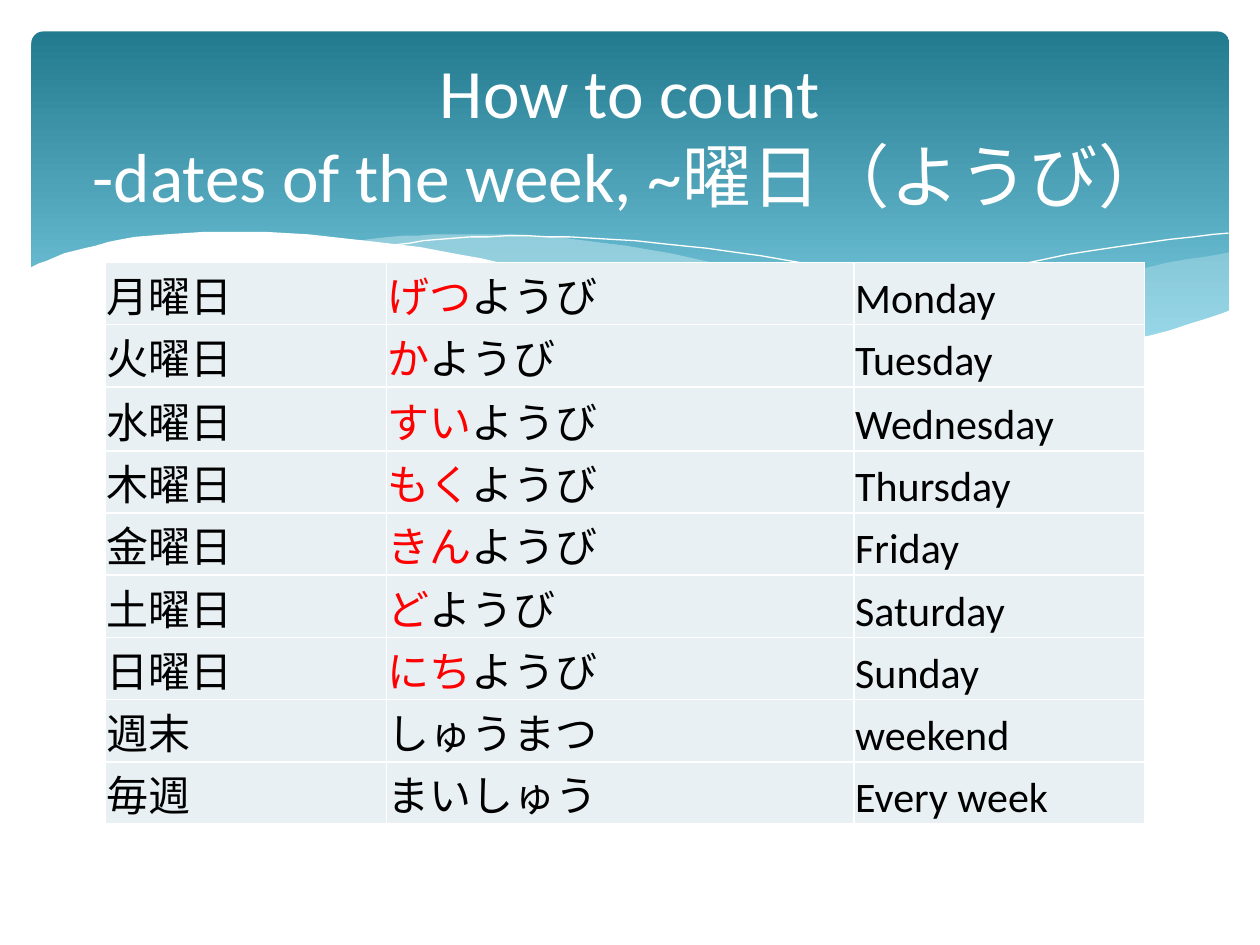
from lxml import etree
from pptx import Presentation, util as u
from pptx.dml.color import RGBColor
from pptx.enum import shapes, text
from pptx.oxml.ns import qn

Pt = u.Pt
THEME = {
    "font": "Calibri", "title_size": Pt(39.6), "cell_size": Pt(24),
    "white": RGBColor.from_string("FFFFFF"), "black": RGBColor.from_string("000000"),
    "red": RGBColor.from_string("FF0000"), "cell": RGBColor.from_string("E8F0F4"),
    "banner_top": RGBColor.from_string("227A8F"),
    "banner_bottom": RGBColor.from_string("7ACBE0"),
    "mist": RGBColor.from_string("DEF5FA"),
}
WAVE_UNIT = Pt(0.72)  # wave knots are in hundredths of an inch


def style_font(font, size, color):
    for key, value in {"name": THEME["font"], "size": THEME[size]}.items():
        setattr(font, key, value)
    font.color.rgb = THEME[color]


def smooth(knots, steps=6):
    """Return points on a Catmull-Rom curve through the knots."""
    padded = [knots[0], *knots, knots[-1]]
    points = [knots[0]]
    for span in zip(padded, padded[1:], padded[2:], padded[3:]):
        for step in range(1, steps + 1):
            t = step / steps
            points.append(tuple(
                b + t * (c - a) / 2 + t**2 * (2*a - 5*b + 4*c - d) / 2
                + t**3 * (3*b - a - 3*c + d) / 2
                for a, b, c, d in zip(*span)))
    return points


prs = Presentation()
prs.slide_width, prs.slide_height = Pt(720), Pt(540)
slide = prs.slides.add_slide(prs.slide_layouts[5])

# Banner
banner = slide.shapes.add_shape(
    shapes.MSO_SHAPE.ROUNDED_RECTANGLE, Pt(18), Pt(18), Pt(684.5), Pt(194.5))
banner.adjustments[0] = 0.034
banner.shadow.inherit = False
banner.line.fill.background()
banner.fill.gradient()
banner.fill.gradient_angle = 270
for stop, (position, name) in zip(banner.fill.gradient_stops,
                                  [(0, "banner_top"), (0.9, "banner_bottom")]):
    stop.position = position
    stop.color.rgb = THEME[name]

# Waves: fill colour (None for a thin line), opacity in percent, edges
waves = [
    ("mist", 29, [
        [(976, 200), (891, 216), (779, 242), (661, 265)],
        [(661, 265), (757, 276), (835, 277), (905, 269), (976, 247)]]),
    ("mist", 40, [
        [(893, 273), (775, 254), (629, 222), (514, 198), (420, 187), (344, 186),
         (286, 191)],
        [(286, 191), (404, 211), (566, 248), (695, 270), (807, 278), (893, 273)]]),
    (None, 100, [
        [(309, 195), (374, 188), (469, 189), (582, 200), (727, 226), (907, 272)]]),
    (None, 100, [[(613, 257), (748, 223), (866, 199), (975, 185)]]),
    ("white", 100, [
        [(977, 246), (899, 269), (809, 277), (688, 268), (555, 245), (418, 213),
         (316, 194), (211, 184), (119, 187), (59, 199), (23, 213)],
        [(23, 329), (977, 329)]]),
]
for fill_name, opacity, edges in waves:
    points = [point for edge in edges for point in smooth(edge)]
    builder = slide.shapes.build_freeform(*points[0], scale=WAVE_UNIT)
    builder.add_line_segments(points[1:], close=fill_name is not None)
    wave = builder.convert_to_shape()
    wave.shadow.inherit = False
    if fill_name is None:
        wave.fill.background()
        wave.line.color.rgb = THEME["white"]
        wave.line.width = Pt(0)
        continue
    wave.line.fill.background()
    wave.fill.solid()
    wave.fill.fore_color.rgb = THEME[fill_name]
    if opacity < 100:
        rgb = wave.element.spPr.find(qn("a:solidFill")).find(qn("a:srgbClr"))
        etree.SubElement(rgb, qn("a:alpha"), val=str(opacity * 1000))

# Days: kanji, reading that differs, rest of the reading, English
days = [
    ("月曜日", "げつ", "ようび", "Monday"),
    ("火曜日", "か", "ようび", "Tuesday"),
    ("水曜日", "すい", "ようび", "Wednesday"),
    ("木曜日", "もく", "ようび", "Thursday"),
    ("金曜日", "きん", "ようび", "Friday"),
    ("土曜日", "ど", "ようび", "Saturday"),
    ("日曜日", "にち", "ようび", "Sunday"),
    ("週末", "", "しゅうまつ", "weekend"),
    ("毎週", "", "まいしゅう", "Every week"),
]
cell_format = {
    "vertical_anchor": text.MSO_ANCHOR.BOTTOM, "margin_left": Pt(0.72),
    "margin_right": Pt(0.72), "margin_top": Pt(0.72), "margin_bottom": Pt(0),
}
calendar = slide.shapes.add_table(
    len(days), 3, Pt(60), Pt(150), Pt(594), Pt(299)).table
calendar.first_row = calendar.horz_banding = False
for column, width in zip(calendar.columns, (161, 267, 166)):
    column.width = Pt(width)
for row in calendar.rows:
    row.height = Pt(33.2)
calendar.rows[2].height = Pt(36.5)

for row, (kanji, stem, ending, english) in zip(calendar.rows, days):
    contents = ([(kanji, "black")], [(stem, "red"), (ending, "black")],
                [(english, "black")])
    for cell, pieces in zip(row.cells, contents):
        for key, value in cell_format.items():
            setattr(cell, key, value)
        for side in ("lnL", "lnR", "lnT", "lnB"):
            border = etree.SubElement(cell._tc.tcPr, qn(f"a:{side}"), w=str(Pt(1)))
            paint = etree.SubElement(border, qn("a:solidFill"))
            etree.SubElement(paint, qn("a:srgbClr"), val=str(THEME["white"]))
        cell.fill.solid()
        cell.fill.fore_color.rgb = THEME["cell"]
        for words, name in pieces:
            if words:
                run = cell.text_frame.paragraphs[0].add_run()
                run.text = words
                style_font(run.font, "cell_size", name)

# Title, brought in front of the banner
title = slide.shapes.title
slide.shapes.element.append(title.element)
for key, value in {"left": Pt(36), "top": Pt(26.6), "width": Pt(648),
                   "height": Pt(98.6)}.items():
    setattr(title, key, value)
frame = title.text_frame
frame.text = "How to count\v-dates of the week, ~曜日（ようび）"
for key, value in {"word_wrap": True, "auto_size": text.MSO_AUTO_SIZE.NONE,
                   "vertical_anchor": text.MSO_ANCHOR.MIDDLE}.items():
    setattr(frame, key, value)
heading = frame.paragraphs[0]
heading.alignment = text.PP_ALIGN.CENTER
for run in heading.runs:
    style_font(run.font, "title_size", "white")

prs.save("out.pptx")
